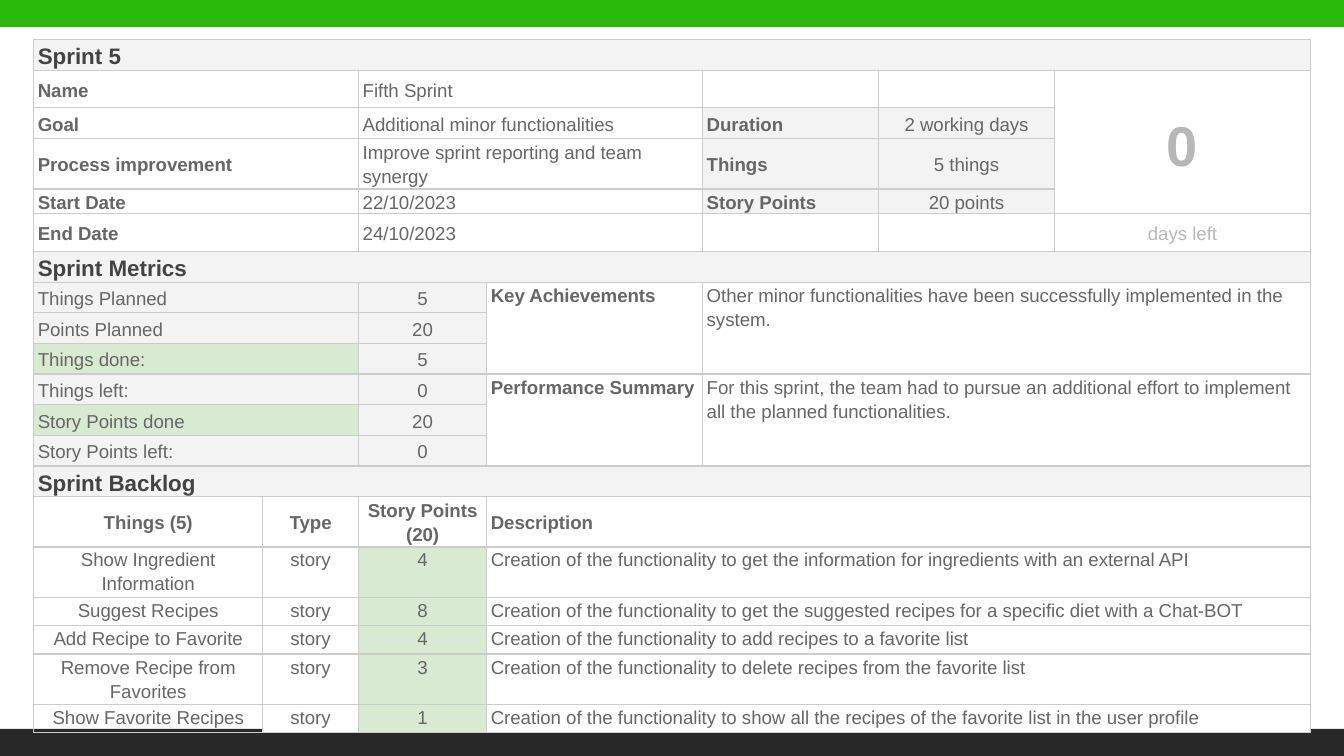
from lxml import etree
from pptx import Presentation
from pptx.dml.color import RGBColor
from pptx.enum.shapes import MSO_SHAPE
from pptx.enum.text import MSO_ANCHOR, PP_ALIGN
from pptx.oxml.ns import qn
from pptx.util import Pt

RECTANGLE = MSO_SHAPE.RECTANGLE
LEFT, CENTER = PP_ALIGN.LEFT, PP_ALIGN.CENTER
TOP, MIDDLE = MSO_ANCHOR.TOP, MSO_ANCHOR.MIDDLE

GREEN, DARK = "28BA0B", "282828"
WHITE, PALE_GRAY, PALE_GREEN = "FFFFFF", "F3F3F3", "D9EAD3"
BORDER, HEADING, BODY, MUTED = "CCCCCC", "434343", "666666", "B7B7B7"

COLUMN_WIDTHS = [122.7, 51.4, 68.6, 115.7, 94.3, 94.3, 137.1]
LINE, TWO_LINES, SHORT, ITEM = 16.43, 27, 13.4, 15.2
ROW_HEIGHTS = ([LINE] * 3 + [TWO_LINES, SHORT, SHORT] + [LINE] * 8
               + [TWO_LINES, TWO_LINES, ITEM, ITEM, TWO_LINES, ITEM])

DETAILS = [
    ("Name", "Fifth Sprint"),
    ("Goal", "Additional minor functionalities"),
    ("Process improvement", "Improve sprint reporting and team synergy"),
    ("Start Date", "22/10/2023"),
    ("End Date", "24/10/2023"),
]
TOTALS = [
    ("Duration", "2 working days"),
    ("Things", "5 things"),
    ("Story Points", "20 points"),
]
METRICS = [
    ("Things Planned", "5", PALE_GRAY),
    ("Points Planned", "20", PALE_GRAY),
    ("Things done:", "5", PALE_GREEN),
    ("Things left:", "0", PALE_GRAY),
    ("Story Points done", "20", PALE_GREEN),
    ("Story Points left:", "0", PALE_GRAY),
]
REMARKS = [
    ("Key Achievements",
     "Other minor functionalities have been successfully implemented in the system."),
    ("Performance Summary",
     "For this sprint, the team had to pursue an additional effort to implement "
     "all the planned functionalities."),
]
BACKLOG = [
    ("Show Ingredient Information", "4", None,
     "Creation of the functionality to get the information for ingredients with an external API"),
    ("Suggest Recipes", "8", WHITE,
     "Creation of the functionality to get the suggested recipes for a specific diet with a Chat-BOT"),
    ("Add Recipe to Favorite", "4", None,
     "Creation of the functionality to add recipes to a favorite list"),
    ("Remove Recipe from Favorites", "3", WHITE,
     "Creation of the functionality to delete recipes from the favorite list"),
    ("Show Favorite Recipes", "1", None,
     "Creation of the functionality to show all the recipes of the favorite list in the user profile"),
]


def rgb(value):
    return RGBColor.from_string(value)


def write(frame, text, size=10, color=BODY, bold=False, align=LEFT):
    paragraph = frame.paragraphs[0]
    paragraph.alignment = align
    paragraph.line_spacing = 1.15
    run = paragraph.add_run()
    run.text = text
    run.font.name = "Arial"
    run.font.size = Pt(size)
    run.font.bold = bold
    run.font.color.rgb = rgb(color)


def outline(cell):
    """Draw a thin border on all four sides; the lines must precede the fill."""
    properties = cell._tc.get_or_add_tcPr()
    for index, side in enumerate(("lnL", "lnR", "lnT", "lnB")):
        line = etree.Element(qn(f"a:{side}"), w=str(Pt(0.75)))
        fill = etree.SubElement(line, qn("a:solidFill"))
        etree.SubElement(fill, qn("a:srgbClr"), val=BORDER)
        properties.insert(index, line)


def size_empty(cell, size):
    """Set the line height of a cell that holds no text."""
    end = etree.SubElement(cell.text_frame.paragraphs[0]._p,
                           qn("a:endParaRPr"), sz=str(size * 100))
    etree.SubElement(end, qn("a:latin"), typeface="Arial")


class SprintSlide:
    def __init__(self, presentation):
        self.slide = presentation.slides.add_slide(presentation.slide_layouts[6])

    def bar(self, top, height, color):
        bar = self.slide.shapes.add_shape(
            RECTANGLE, Pt(-5), Pt(top), Pt(729.5), Pt(height))
        bar.shadow.inherit = False
        bar.fill.solid()
        bar.fill.fore_color.rgb = rgb(color)
        bar.line.fill.background()

    def grid(self, left, top, widths, heights):
        self.table = self.slide.shapes.add_table(
            len(heights), len(widths), Pt(left), Pt(top),
            Pt(sum(widths)), Pt(sum(heights))).table
        self.table.first_row = self.table.horz_banding = False
        for column, width in zip(self.table.columns, widths):
            column.width = Pt(width)
        for row, height in zip(self.table.rows, heights):
            row.height = Pt(height)
        for cell in self.table.iter_cells():
            cell.margin_left = cell.margin_right = Pt(2.25)
            cell.margin_top = cell.margin_bottom = 0
            cell.fill.background()
            outline(cell)

    def cell(self, row, column, text="", rows=1, columns=1, fill=None,
             anchor=MIDDLE, **style):
        cell = self.table.cell(row, column)
        if rows * columns > 1:
            cell.merge(self.table.cell(row + rows - 1, column + columns - 1))
        cell.vertical_anchor = anchor
        if fill:
            cell.fill.solid()
            cell.fill.fore_color.rgb = rgb(fill)
        if text:
            write(cell.text_frame, text, **style)
        else:
            size_empty(cell, 18)

    def section(self, row, text):
        self.cell(row, 0, text, columns=7, fill=PALE_GRAY,
                  size=12, color=HEADING, bold=True)


def fill_overview(sprint):
    sprint.section(0, "Sprint 5")
    for row, (label, value) in enumerate(DETAILS, 1):
        sprint.cell(row, 0, label, columns=2, bold=True)
        sprint.cell(row, 2, value, columns=2)
    for row, (label, value) in enumerate(TOTALS, 2):
        sprint.cell(row, 4, label, fill=PALE_GRAY, bold=True)
        sprint.cell(row, 5, value, fill=PALE_GRAY, align=CENTER)
    for column in (4, 5):
        sprint.cell(1, column, fill=WHITE)
        sprint.cell(5, column)
    sprint.cell(1, 6, "0", rows=4, fill=WHITE,
                size=30, color=MUTED, bold=True, align=CENTER)
    sprint.cell(5, 6, "days left", color=MUTED, align=CENTER)


def fill_metrics(sprint):
    sprint.section(6, "Sprint Metrics")
    for row, (label, value, color) in enumerate(METRICS, 7):
        sprint.cell(row, 0, label, columns=2, fill=color)
        sprint.cell(row, 2, value, fill=PALE_GRAY, align=CENTER)
    for index, (label, remark) in enumerate(REMARKS):
        row = 7 + 3 * index
        sprint.cell(row, 3, label, rows=3, anchor=TOP, bold=True)
        sprint.cell(row, 4, remark, rows=3, columns=3, anchor=TOP)


def fill_backlog(sprint):
    sprint.section(13, "Sprint Backlog")
    for column, label in enumerate(("Things (5)", "Type", "Story Points (20)")):
        sprint.cell(14, column, label, bold=True, align=CENTER)
    sprint.cell(14, 3, "Description", columns=4, bold=True)
    for row, (thing, points, color, description) in enumerate(BACKLOG, 15):
        sprint.cell(row, 0, thing, fill=color, anchor=TOP, align=CENTER)
        sprint.cell(row, 1, "story", fill=WHITE, anchor=TOP, align=CENTER)
        sprint.cell(row, 2, points, fill=PALE_GREEN, anchor=TOP, align=CENTER)
        sprint.cell(row, 3, description, columns=4, fill=WHITE, anchor=TOP)


def main():
    presentation = Presentation()
    presentation.slide_width, presentation.slide_height = Pt(720), Pt(405)
    sprint = SprintSlide(presentation)
    sprint.bar(390.5, 18.5, DARK)
    sprint.bar(-4.3, 18.7, GREEN)
    sprint.grid(18, 21.2, COLUMN_WIDTHS, ROW_HEIGHTS)
    fill_overview(sprint)
    fill_metrics(sprint)
    fill_backlog(sprint)
    presentation.save("out.pptx")


if __name__ == "__main__":
    main()
